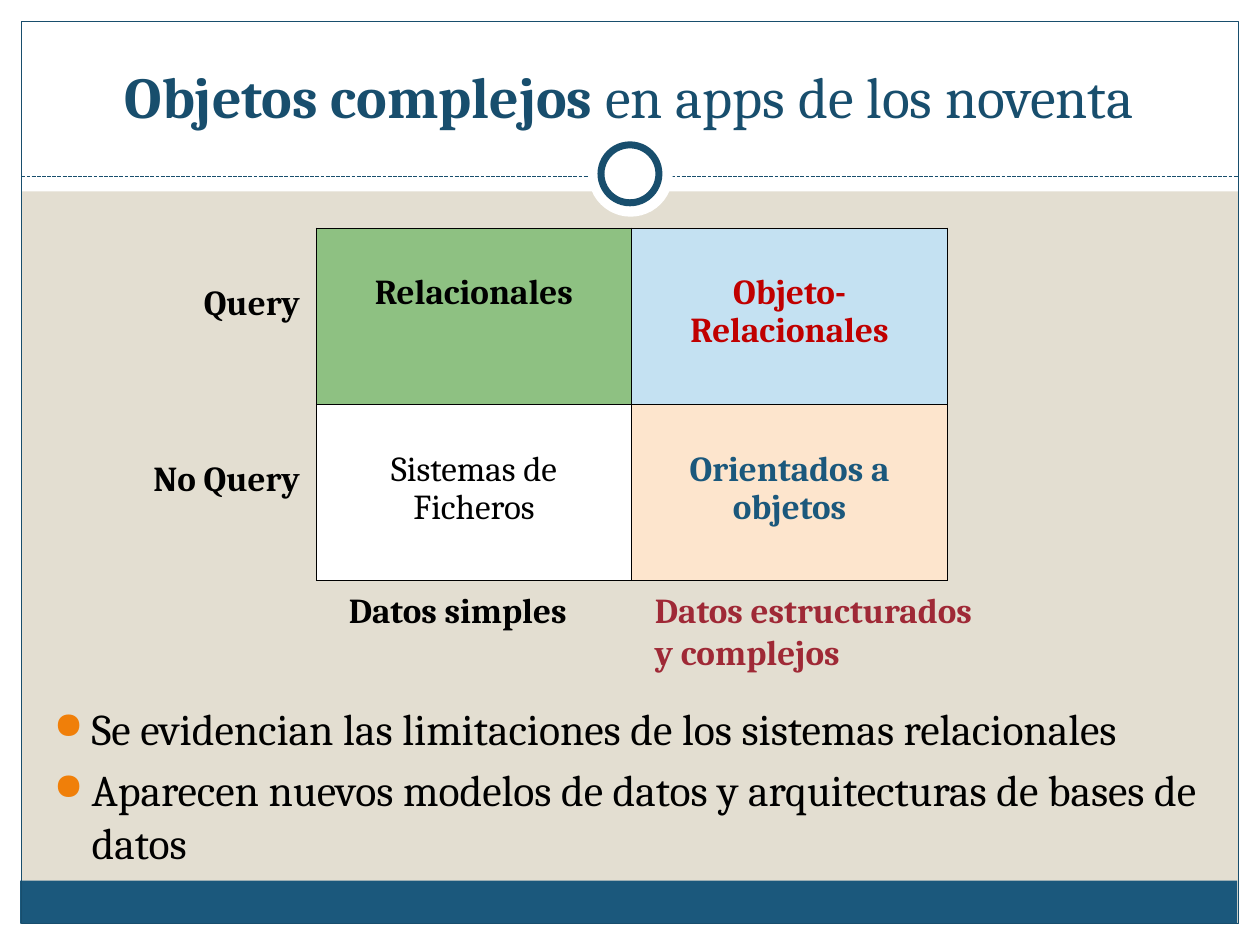
from dataclasses import dataclass

from lxml import etree
from pptx import Presentation
from pptx.dml.color import RGBColor
from pptx.enum.dml import MSO_LINE
from pptx.enum.shapes import MSO_CONNECTOR, MSO_SHAPE
from pptx.enum.text import MSO_ANCHOR, PP_ALIGN
from pptx.oxml.ns import qn
from pptx.util import Inches, Pt

RECT, OVAL = MSO_SHAPE.RECTANGLE, MSO_SHAPE.OVAL
STRAIGHT, DASH = MSO_CONNECTOR.STRAIGHT, MSO_LINE.SQUARE_DOT
LEFT, CENTER, RIGHT = PP_ALIGN.LEFT, PP_ALIGN.CENTER, PP_ALIGN.RIGHT
TOP, BOTTOM = MSO_ANCHOR.TOP, MSO_ANCHOR.BOTTOM


@dataclass(frozen=True)
class Theme:
    font: str = "Cambria"
    title: int = 33
    body: int = 25
    label: int = 20
    paper: str = "E3DED1"
    white: str = "FFFFFF"
    black: str = "000000"
    navy: str = "184E6D"
    blue: str = "1B587C"
    orange: str = "F07F09"
    crimson: str = "9F2936"
    red: str = "C00000"
    green: str = "8EC182"
    sky: str = "C4E1F2"
    peach: str = "FDE5CD"


def rgb(color):
    return RGBColor.from_string(color)


class Deck:
    def __init__(self, slide, theme):
        self.s, self.theme = slide, theme
        fill = slide.background.fill
        fill.solid()
        fill.fore_color.rgb = rgb(theme.paper)

    def shape(self, kind, box, fill=None, line=None, weight=0.75):
        sp = self.s.shapes.add_shape(kind, *map(Inches, box))
        sp.shadow.inherit = False
        if fill:
            sp.fill.solid()
            sp.fill.fore_color.rgb = rgb(fill)
        else:
            sp.fill.background()
        if line:
            sp.line.color.rgb = rgb(line)
            sp.line.width = Pt(weight)
        else:
            sp.line.fill.background()

    def rule(self, x1, x2, y, color):
        line = self.s.shapes.add_connector(
            STRAIGHT, Inches(x1), Inches(y), Inches(x2), Inches(y))
        line.line.color.rgb = rgb(color)
        line.line.width = Pt(0.75)
        line.line.dash_style = DASH
        etree.SubElement(line._element.spPr, qn("a:effectLst"))

    def style(self, p, size, color, bold=False, align=LEFT):
        p.alignment = align
        for r in p.runs:
            r.font.name = self.theme.font
            r.font.size = Pt(size)
            r.font.bold = bold
            r.font.color.rgb = rgb(color)

    def text(self, box, text, size, color, bold=False, align=LEFT,
             anchor=TOP, wrap=False):
        tf = self.s.shapes.add_textbox(*map(Inches, box)).text_frame
        tf.word_wrap = wrap
        tf.vertical_anchor = anchor
        tf.text = text
        for p in tf.paragraphs:
            self.style(p, size, color, bold, align)
        return tf

    def title(self, box, strong, rest):
        t = self.theme
        tf = self.text(box, strong, t.title, t.navy, align=CENTER,
                       anchor=BOTTOM, wrap=True)
        p = tf.paragraphs[0]
        p.add_run().text = rest
        self.style(p, t.title, t.navy, align=CENTER)
        p.runs[0].font.bold = True

    def bullets(self, box, items):
        t = self.theme
        tf = self.text(box, "\n".join(items), t.body, t.black, wrap=True)
        for p in tf.paragraphs:
            p.space_before = Pt(5)
            pPr = p._p.get_or_add_pPr()
            pPr.set("marL", str(Inches(0.3)))
            pPr.set("indent", str(Inches(-0.3)))
            color = etree.SubElement(pPr, qn("a:buClr"))
            etree.SubElement(color, qn("a:srgbClr"), val=t.orange)
            etree.SubElement(pPr, qn("a:buSzPct"), val="85000")
            etree.SubElement(pPr, qn("a:buChar"), char="●")

    def table(self, box, rows):
        shape = self.s.shapes.add_table(
            len(rows), len(rows[0]), *map(Inches, box))
        for i, row in enumerate(rows):
            for j, content in enumerate(row):
                self.cell(shape.table.cell(i, j), *content)

    def cell(self, cell, text, color, bold, fill):
        cell.margin_top = Inches(0.37)
        cell.text = text
        p = cell.text_frame.paragraphs[0]
        p.line_spacing = 0.94
        self.style(p, self.theme.label, color, bold, CENTER)
        tcPr = cell._tc.get_or_add_tcPr()
        for side in ("lnL", "lnR", "lnT", "lnB"):
            ln = etree.SubElement(tcPr, qn("a:" + side), w=str(Pt(0.45)))
            solid = etree.SubElement(ln, qn("a:solidFill"))
            etree.SubElement(solid, qn("a:srgbClr"), val=self.theme.black)
        cell.fill.solid()
        cell.fill.fore_color.rgb = rgb(fill)


def draw_frame(deck):
    t = deck.theme
    margins = [(0, 7.33, 10, 0.17), (0, 0, 10, 1.52),
               (0, 0, 0.17, 7.5), (9.83, 0, 0.17, 7.5)]
    for box in margins:
        deck.shape(RECT, box, t.white)
    deck.shape(RECT, (0.16, 6.99, 9.66, 0.34), t.blue)
    deck.shape(RECT, (0.17, 0.17, 9.66, 7.16), line=t.navy)
    deck.rule(0.17, 9.83, 1.4, t.navy)
    deck.shape(OVAL, (4.67, 1.05, 0.67, 0.67), t.white)
    deck.shape(OVAL, (4.77, 1.15, 0.46, 0.46), t.white, t.navy, 4)


def main():
    prs = Presentation()
    prs.slide_width, prs.slide_height = Inches(10), Inches(7.5)
    t = Theme()
    deck = Deck(prs.slides.add_slide(prs.slide_layouts[6]), t)
    draw_frame(deck)
    deck.table((2.51, 1.81, 5.01, 2.8), [
        [("Relacionales", t.black, True, t.green),
         ("Objeto-Relacionales", t.red, True, t.sky)],
        [("Sistemas de Ficheros", t.black, False, t.white),
         ("Orientados a objetos", t.blue, True, t.peach)],
    ])
    labels = [
        ((1.4, 2.18, 1.08, 0.44), "Query", t.black, RIGHT),
        ((0.91, 3.57, 1.57, 0.44), "No Query", t.black, RIGHT),
        ((5.1, 4.62, 3.13, 0.78), "Datos estructurados\ny complejos",
         t.crimson, LEFT),
        ((2.67, 4.62, 2.22, 0.44), "Datos simples", t.black, LEFT),
    ]
    for box, text, color, align in labels:
        deck.text(box, text, t.label, color, True, align)
    deck.title((0.33, 0.25, 9.33, 0.83),
               "Objetos complejos ", "en apps de los noventa")
    deck.bullets((0.33, 5.52, 9.3, 1.54), [
        "Se evidencian las limitaciones de los sistemas relacionales",
        "Aparecen nuevos modelos de datos y arquitecturas de bases de datos",
    ])
    prs.save("out.pptx")


if __name__ == "__main__":
    main()
